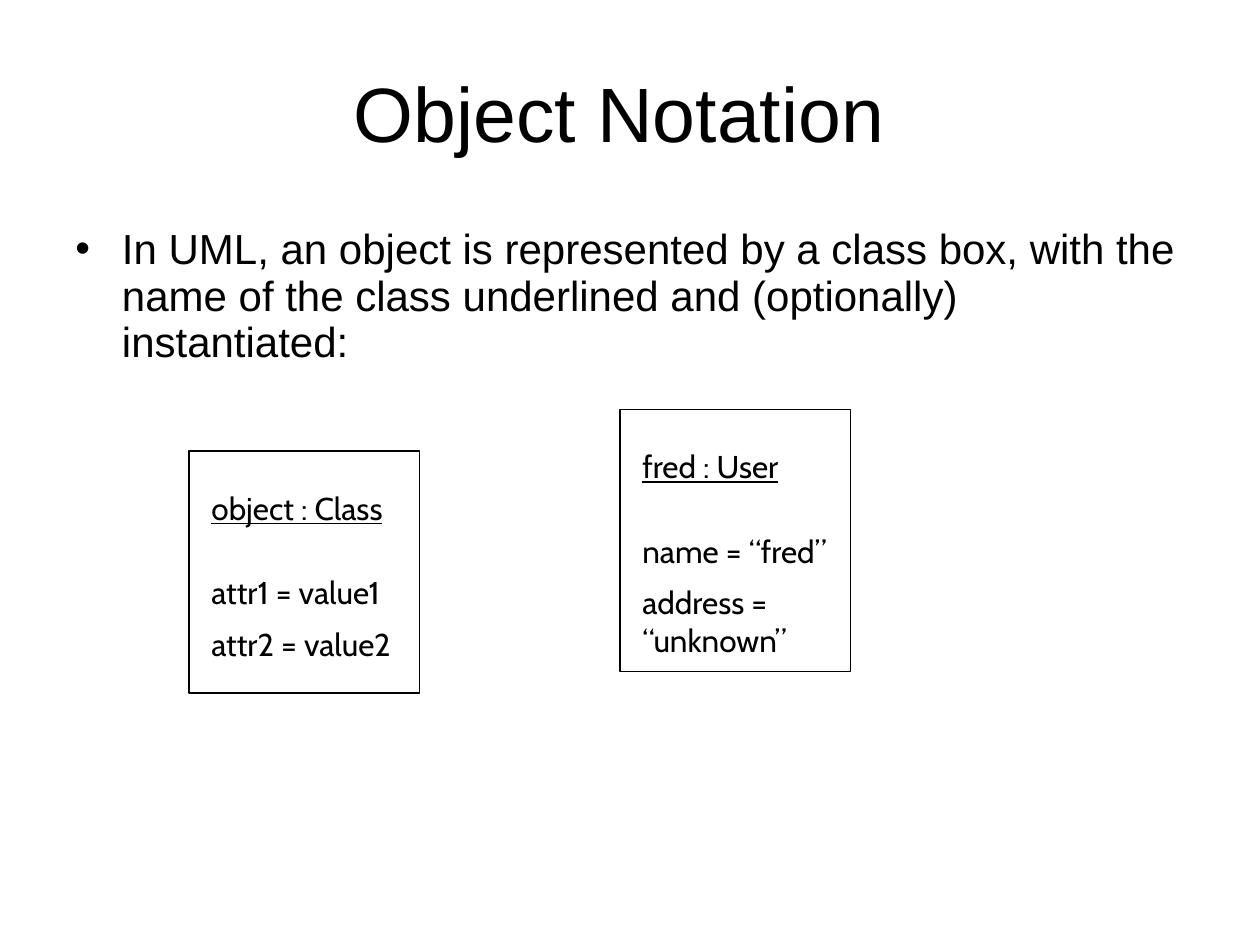
from lxml import etree
from pptx import Presentation
from pptx.dml.color import RGBColor
from pptx.enum.shapes import MSO_SHAPE
from pptx.enum.text import MSO_ANCHOR, PP_ALIGN
from pptx.oxml.ns import qn
from pptx.util import Inches, Pt

RECT = MSO_SHAPE.RECTANGLE
MID, TOP = MSO_ANCHOR.MIDDLE, MSO_ANCHOR.TOP
MAIN, BOX, INK = "Arial", "Cabin", "000000"

TITLE = "Object Notation "
BODY = ("In UML, an object is represented by a class box, with the name of "
        "the class underlined and (optionally) instantiated:")
CARDS = [
    (1.5, 3.58, 1.92, ["object : Class", "attr1 = value1", "attr2 = value2"]),
    (4.92, 3.25, 2.08, ["fred : User", "name = “fred”", "address = “unknown”"]),
]
WIDE, PAD = 1.83, 0.08
ROWS = [(0.25, True), (0.92, False), (1.33, False)]


def color(code):
    return RGBColor.from_string(code)


def write(text, area, font, size, anchor=TOP, line=False, **form):
    box = slide.shapes.add_textbox(*map(Inches, area))
    frame = box.text_frame
    frame.word_wrap = True
    frame.vertical_anchor = anchor
    para = frame.paragraphs[0]
    run = para.add_run()
    run.text = text
    run.font.color.rgb = color(INK)
    style = {"name": font, "size": Pt(size), "underline": line}
    for item, values in ((run.font, style), (para, form)):
        for key, value in values.items():
            setattr(item, key, value)
    return para


def bullet(para, mark, hang):
    props = para._p.get_or_add_pPr()
    props.set("marL", str(Inches(hang)))
    props.set("indent", str(-Inches(hang)))
    etree.SubElement(props, qn("a:buFont")).set("typeface", MAIN)
    etree.SubElement(props, qn("a:buChar")).set("char", mark)


def card(left, top, high, lines):
    box = slide.shapes.add_shape(RECT, *map(Inches, (left, top, WIDE, high)))
    box.shadow.inherit = False
    box.fill.background()
    box.line.color.rgb = color(INK)
    box.line.width = Pt(0.75)
    for text, (drop, line) in zip(lines, ROWS):
        area = (left + PAD, top + drop, 1.92, 0.4)
        write(text, area, BOX, 18, line=line)


deck = Presentation()
deck.slide_width, deck.slide_height = Inches(10), Inches(7.5)
slide = deck.slides.add_slide(deck.slide_layouts[6])

write(TITLE, (0.5, 0.3, 9, 1.25), MAIN, 44, MID,
      alignment=PP_ALIGN.CENTER, line_spacing=0.93)
bullet(write(BODY, (0.5, 1.75, 9, 4.95), MAIN, 24, line_spacing=0.93), "•", 0.37)
for entry in CARDS:
    card(*entry)

deck.save("out.pptx")
